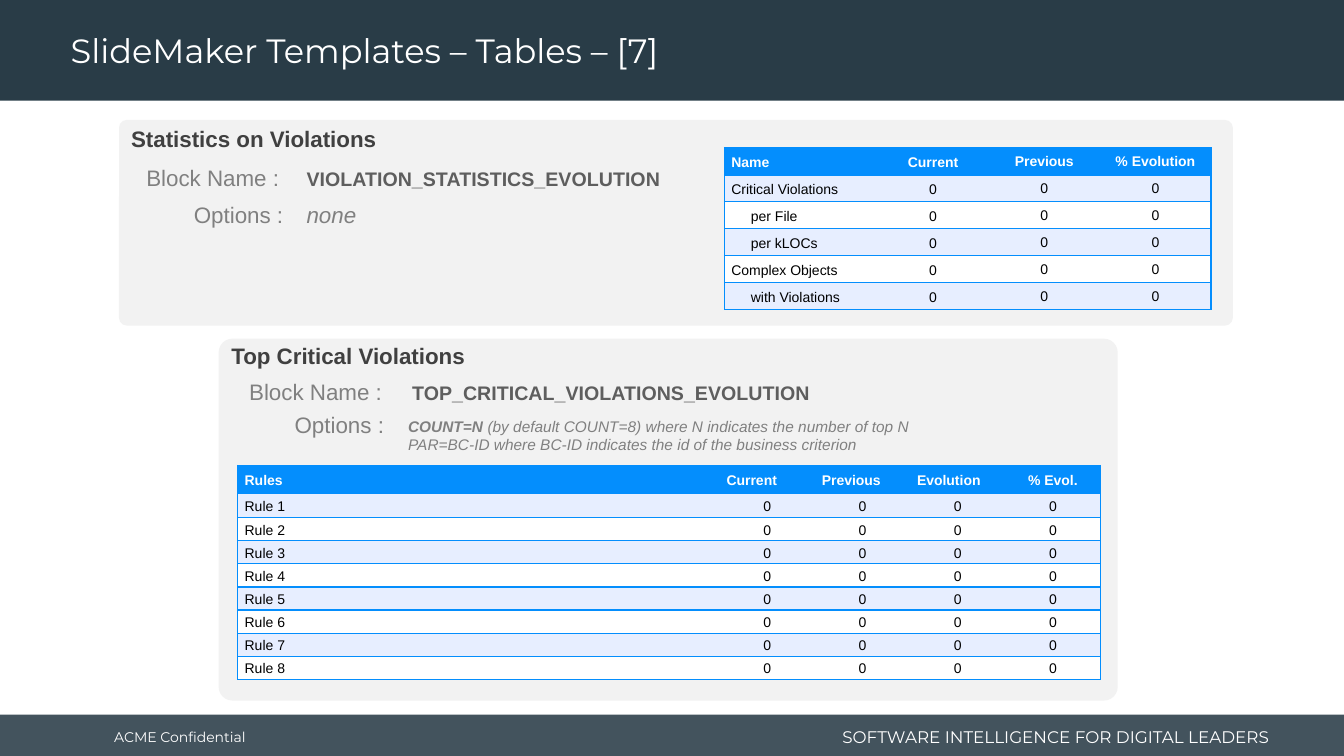
from pptx import Presentation
from pptx.util import Pt
from pptx.dml.color import RGBColor as Rgb
from pptx.enum.shapes import MSO_SHAPE as Form
from pptx.enum.text import MSO_ANCHOR as Anchor, PP_ALIGN as Align
from pptx.oxml.ns import qn
from lxml.etree import SubElement as Sub, Element

HUE = {
    "navy": "293C47", "white": "FFFFFF", "panel": "F2F2F2", "head": "404040",
    "name": "5E5E5E", "grey": "808080", "blue": "048EFD", "pale": "E7EEFF",
    "black": "000000",
}
LEFT, MID, RIGHT = Align.LEFT, Align.CENTER, Align.RIGHT


def write(frame, lines, size=16, color="grey", font="Arial", bold=False,
          italic=False, align=LEFT, space=None, pad=(7.2, 3.6),
          anchor=Anchor.TOP):
    frame.word_wrap = True
    frame.vertical_anchor = anchor
    frame.margin_left = frame.margin_right = Pt(pad[0])
    frame.margin_top = frame.margin_bottom = Pt(pad[1])
    for i, line in enumerate([lines] if isinstance(lines, str) else lines):
        para = frame.add_paragraph() if i else frame.paragraphs[0]
        para.alignment = align
        if space:
            para.line_spacing = space
        for text, thick in [(line, bold)] if isinstance(line, str) else line:
            run = para.add_run()
            run.text = text
            face = run.font
            face.size, face.name = Pt(size), font
            face.bold, face.italic = thick, italic
            face.color.rgb = Rgb.from_string(HUE[color])


def label(slide, box, lines, **form):
    write(slide.shapes.add_textbox(*map(Pt, box)).text_frame, lines, **form)


def block(slide, box, color, form=Form.RECTANGLE, alpha=None):
    shape = slide.shapes.add_shape(form, *map(Pt, box))
    shape.shadow.inherit = False
    shape.line.fill.background()
    shape.fill.solid()
    shape.fill.fore_color.rgb = Rgb.from_string(HUE[color])
    if alpha:
        tint = shape.fill._xPr.find(".//" + qn("a:srgbClr"))
        Sub(tint, qn("a:alpha"), val=str(alpha * 1000))
    return shape


def edge(cell, sides):
    props = cell._tc.get_or_add_tcPr()
    for i, side in enumerate("LRTB"):
        line = Element(qn("a:ln" + side), w=str(Pt(1)))
        if side in sides:
            fill = Sub(line, qn("a:solidFill"))
            Sub(fill, qn("a:srgbClr"), val=HUE["blue"])
        else:
            Sub(line, qn("a:noFill"))
        props.insert(i, line)


def grid(slide, box, cols, tall, heads, names, aligns, plain):
    rows = [heads] + [[name] + ["0"] * (len(cols) - 1) for name in names]
    table = slide.shapes.add_table(len(rows), len(cols), *map(Pt, box)).table
    table.first_row = table.horz_banding = False
    for col, width in zip(table.columns, cols):
        col.width = Pt(width)
    for r, row in enumerate(rows):
        table.rows[r].height = Pt(tall[min(r, len(tall) - 1)])
        for c, text in enumerate(row):
            cell = table.cell(r, c)
            shade = "blue" if r == 0 else "pale" if r % 2 else "white"
            cell.fill.solid()
            cell.fill.fore_color.rgb = Rgb.from_string(HUE[shade])
            edge(cell, "TB" + "L" * (c == 0) + "R" * (c == len(cols) - 1))
            align = aligns[c] if r == 0 else MID if c else LEFT
            loose = c >= plain
            write(cell.text_frame, text, size=10, bold=r == 0, align=align,
                  color="black" if r else "white",
                  space=None if loose else 1.15)
            cell.vertical_anchor = Anchor.MIDDLE
            cell.margin_left = cell.margin_right = Pt(7.2 if loose else 5)
            cell.margin_top = cell.margin_bottom = Pt(3.6 if loose else 0)
            if c == 0 and text.startswith(("per ", "with ")):
                cell.margin_left = Pt(19)


def panel(slide, box, title, name, option, spots, style):
    x, y, w, h = box
    block(slide, box, "panel", Form.ROUNDED_RECTANGLE).adjustments[0] = 0.038

    def place(spot, width, height):
        return x + spot[0], y + spot[1], width, height

    head, tag, value, mark, note = spots
    label(slide, place(head, 641.5, 26.6), title, color="head", bold=True,
          pad=(14.4, 3.6))
    label(slide, place(tag, 120.2, 26.6), "Block Name :", align=RIGHT)
    label(slide, place(value, 522, 24.2), name, size=14, color="name", bold=True)
    label(slide, place(mark, 87.1, 26.6), "Options :", align=RIGHT)
    label(slide, place(note, 522, 30), option, italic=True, **style)


def stats(slide, box):
    x, y, w, h = box
    panel(slide, box, "Statistics on Violations",
          "VIOLATION_STATISTICS_EVOLUTION", "none",
          [(-5.8, 0), (1.3, 28.1), (126.9, 30.2), (37.3, 54.7), (126.9, 54.7)],
          {"size": 16})
    grid(slide, (x + 432.4, y + 20, 347.6, 115.2), [109.4] + [79.4] * 3, [19.2],
         ["Name", "Current", "Previous", "% Evolution"],
         ["Critical Violations", "per File", "per kLOCs", "Complex Objects",
          "with Violations"], [LEFT, MID, MID, MID], 2)


def top(slide, box):
    x, y, w, h = box
    panel(slide, box, "Top Critical Violations",
          "TOP_CRITICAL_VIOLATIONS_EVOLUTION",
          [[("COUNT=N ", True),
            ("(by default COUNT=8) where N indicates the number of top N", False)],
           "PAR=BC-ID where BC-ID indicates the id of the business criterion"],
          [(-5.4, -0.9), (3.6, 24.5), (131.1, 26.7), (38.1, 48.3), (128.2, 52.3)],
          {"size": 11})
    grid(slide, (x + 13.6, y + 90.6, 616.4, 153), [344.2] + [68.05] * 4,
         [20, 17.3, 16.5],
         ["Rules", "Current", "Previous", "Evolution", "% Evol."],
         [f"Rule {i}" for i in range(1, 9)], [LEFT] * 4 + [MID], 5)


def header(slide, box):
    x, y, w, h = box
    block(slide, box, "navy")
    label(slide, (x + 43.4, y + 2.9, 690, h - 2.9),
          "SlideMaker Templates – Tables – [7]", size=24, color="white",
          font="Montserrat", space=0.9, anchor=Anchor.MIDDLE)


def footer(slide, box):
    x, y, w, h = box
    block(slide, box, "navy", alpha=88)
    form = {"color": "white", "font": "Montserrat", "anchor": Anchor.MIDDLE}
    label(slide, (x + 74.5, y + 1.4, 140, 28.8), "ACME Confidential",
          size=10, **form)
    label(slide, (x + 583.9, y + 4.3, 329.8, 23),
          "SOFTWARE INTELLIGENCE FOR DIGITAL LEADERS", size=12, align=RIGHT, **form)


def main():
    deck = Presentation()
    deck.slide_width, deck.slide_height = Pt(960), Pt(540)
    slide = deck.slides.add_slide(deck.slide_layouts[6])
    footer(slide, (0, 510.5, 960, 29.5))
    header(slide, (0, 0, 960, 72))
    stats(slide, (85, 85.7, 795.6, 146.9))
    top(slide, (156.2, 241.9, 642.2, 258.5))
    deck.save("out.pptx")


if __name__ == "__main__":
    main()
